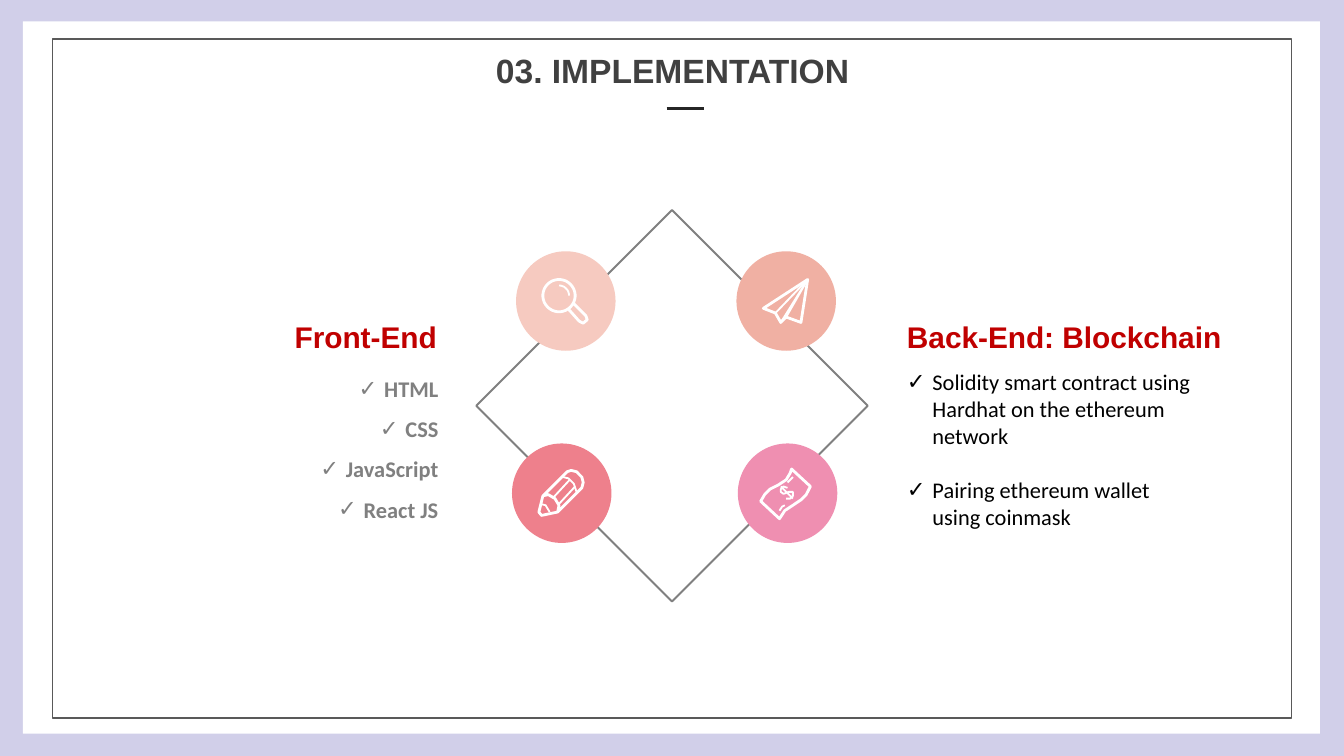
from dataclasses import dataclass
from math import cos, radians, sin

from lxml import etree
from pptx import Presentation
from pptx.dml.color import RGBColor
from pptx.enum import shapes as kinds, text as t
from pptx.oxml import ns
from pptx.util import Inches, Pt


@dataclass(frozen=True)
class Theme:
    background: str = "D1CFE9"
    paper: str = "FFFFFF"
    border: str = "595959"
    title: str = "404040"
    dash: str = "262626"
    heading: str = "C00000"
    muted: str = "808080"
    body: str = "000000"
    heading_font: str = "Arial"
    body_font: str = "Calibri"
    title_size: int = 18
    heading_size: int = 16
    body_size: int = 12


THEME = Theme()


def rgb(value):
    return RGBColor.from_string(value)


def paint(shape, fill=None, line=None, width=1):
    shape.shadow.inherit = False
    if fill:
        shape.fill.solid()
        shape.fill.fore_color.rgb = rgb(fill)
    else:
        shape.fill.background()
    if line:
        shape.line.color.rgb = rgb(line)
        shape.line.width = Pt(width)
    else:
        shape.line.fill.background()
    return shape


def add_preset(slide, kind, box, **look):
    return paint(slide.shapes.add_shape(kind, *map(Inches, box)), **look)


def add_text(slide, box, lines, color, size, font, bold=False, wrap=True,
             bullet=None, **paragraph_format):
    frame = slide.shapes.add_textbox(*map(Inches, box)).text_frame
    frame.word_wrap = wrap
    frame.auto_size = t.MSO_AUTO_SIZE.SHAPE_TO_FIT_TEXT
    for index, line in enumerate(lines):
        paragraph = frame.paragraphs[0] if index == 0 else frame.add_paragraph()
        for name, value in paragraph_format.items():
            if index or name != "space_before":
                setattr(paragraph, name, value)
        if bullet:
            props = paragraph._p.get_or_add_pPr()
            props.set("marL", str(Inches(0.19)))
            props.set("indent", str(-Inches(0.19)))
            bullet_font = etree.SubElement(props, ns.qn("a:buFont"))
            bullet_font.set("typeface", THEME.heading_font)
            etree.SubElement(props, ns.qn("a:buChar")).set("char", bullet)
        run = paragraph.add_run()
        run.text = line
        run.font.color.rgb = rgb(color)
        for name, value in dict(size=Pt(size), name=font, bold=bold).items():
            setattr(run.font, name, value)


def arc(x, y, radius, start, end, step=10):
    return [(x + radius * cos(radians(a)), y + radius * sin(radians(a)))
            for a in range(start, end + 1, step)]


# Icon strokes, in hundredths of an inch from the corner of their disc.
# The first stroke is the outline, the others are finer details.
MAGNIFIER = [
    arc(32, 33, 12, 45, 405) + [(39, 43), (47, 52), (50, 53.5), (53, 51),
                                (52, 48), (43, 39)],
    arc(32, 33, 7.5, -90, 0),
]
PAPER_PLANE = [
    [(20, 42.5), (53, 21), (48, 53), (37, 49), (33, 53), (29, 46), (20, 42.5)],
    [(29, 46), (53, 21), (37, 49)],
    [(53, 21), (33, 53)],
]
PENCIL = [
    [(23, 39), (41, 21), (44, 20), (48, 21), (52, 25), (53, 29), (52, 33),
     (34, 51), (22, 53.5), (20, 51), (23, 39), (27, 38), (32, 41), (35, 46),
     (34, 51)],
    [(38, 25), (42, 26), (46, 30), (48, 36)],
    [(31, 40), (43, 27)],
    [(35, 45), (47, 32)],
    [(21, 45), (25, 46), (28, 51)],
]
BANKNOTE = [
    [(31, 56), (17, 43), (20, 38), (24, 34), (30, 31), (36, 27), (39, 22),
     (40, 19), (54, 32), (51, 38), (47, 42), (41, 46), (35, 50), (33, 53),
     (31, 56)],
    [(37, 33), (34, 32), (32, 34), (32, 36), (34, 37.5), (38, 36), (41, 36),
     (41, 39), (39, 41), (36, 41)],
    [(32, 32), (41, 41)],
    [(31, 50), (33, 47), (35, 46)],
    [(37, 29), (39, 27), (41, 25)],
]


def add_strokes(slide, left, top, strokes, width):
    builder = None
    for stroke in strokes:
        first, *rest = [(10 * x, 10 * y) for x, y in stroke]
        if builder is None:
            builder = slide.shapes.build_freeform(*first, scale=Inches(0.001))
        else:
            builder.move_to(*first)
        builder.add_line_segments(rest, close=False)
    icon = builder.convert_to_shape(Inches(left), Inches(top))
    paint(icon, line=THEME.paper, width=width)
    outline = icon._element.spPr.find(ns.qn("a:ln"))
    etree.SubElement(outline, ns.qn("a:round"))


def add_page(slide):
    slide.background.fill.solid()
    slide.background.fill.fore_color.rgb = rgb(THEME.background)
    rectangle = kinds.MSO_SHAPE.RECTANGLE
    add_preset(slide, rectangle, (0.17, 0.16, 9.65, 5.3), fill=THEME.paper)
    add_preset(slide, rectangle, (0.39, 0.29, 9.22, 5.05), line=THEME.border)


def add_title(slide, left, top, width, title):
    add_text(slide, (left, top, width, 0.4), [title], THEME.title,
             THEME.title_size, THEME.heading_font, bold=True, wrap=False,
             alignment=t.PP_ALIGN.CENTER)
    dash_left, dash_top = left + 1.37, top + 0.49
    dash = slide.shapes.add_connector(
        kinds.MSO_CONNECTOR.STRAIGHT,
        *map(Inches, (dash_left, dash_top, dash_left + 0.28, dash_top)))
    dash.line.color.rgb = rgb(THEME.dash)
    dash.line.width = Pt(1.5)
    etree.SubElement(dash._element.spPr, ns.qn("a:effectLst"))


def add_diamond(slide, left, top, side):
    """Draw a square turned by 45 degrees with an icon disc on each edge."""
    diamond = add_preset(slide, kinds.MSO_SHAPE.RECTANGLE,
                         (left, top, side, side), line=THEME.muted)
    diamond.rotation = 45
    discs = [
        (1.52, 1.31, "EF8FB1", BANKNOTE),
        (-0.16, 1.31, "EE808C", PENCIL),
        (1.51, -0.12, "F0B0A3", PAPER_PLANE),
        (-0.13, -0.12, "F6CAC0", MAGNIFIER),
    ]
    for dx, dy, color, (outline, *details) in discs:
        x, y = left + dx, top + dy
        add_preset(slide, kinds.MSO_SHAPE.OVAL, (x, y, 0.74, 0.74), fill=color)
        add_strokes(slide, x, y, [outline], 1.5)
        add_strokes(slide, x, y, details, 1)


def add_topic(slide, heading_box, list_box, heading, items, align, **list_format):
    add_text(slide, heading_box, [heading], THEME.heading, THEME.heading_size,
             THEME.heading_font, bold=True, wrap=False, alignment=align)
    add_text(slide, list_box, items, size=THEME.body_size, font=THEME.body_font,
             bullet="✓", alignment=align, **list_format)


def main():
    deck = Presentation()
    deck.slide_width = Inches(10)
    deck.slide_height = deck.slide_width * 9 // 16
    slide = deck.slides.add_slide(deck.slide_layouts[6])
    add_page(slide)
    add_title(slide, 3.59, 0.32, 2.83, "03. IMPLEMENTATION")
    add_topic(slide, (6.65, 2.32, 2.55, 0.37), (6.65, 2.69, 2.34, 1.61),
              "Back-End: Blockchain",
              ["Solidity smart contract using Hardhat on the ethereum network",
               "Pairing ethereum wallet using coinmask"],
              t.PP_ALIGN.LEFT, color=THEME.body, space_before=Pt(14.6))
    add_topic(slide, (2.09, 2.32, 1.26, 0.37), (0.54, 2.64, 2.82, 1.31),
              "Front-End", ["HTML", "CSS", "JavaScript", "React JS"],
              t.PP_ALIGN.RIGHT, color=THEME.muted, bold=True, line_spacing=1.5)
    add_diamond(slide, 3.97, 1.99, 2.06)
    deck.save("out.pptx")


if __name__ == "__main__":
    main()
